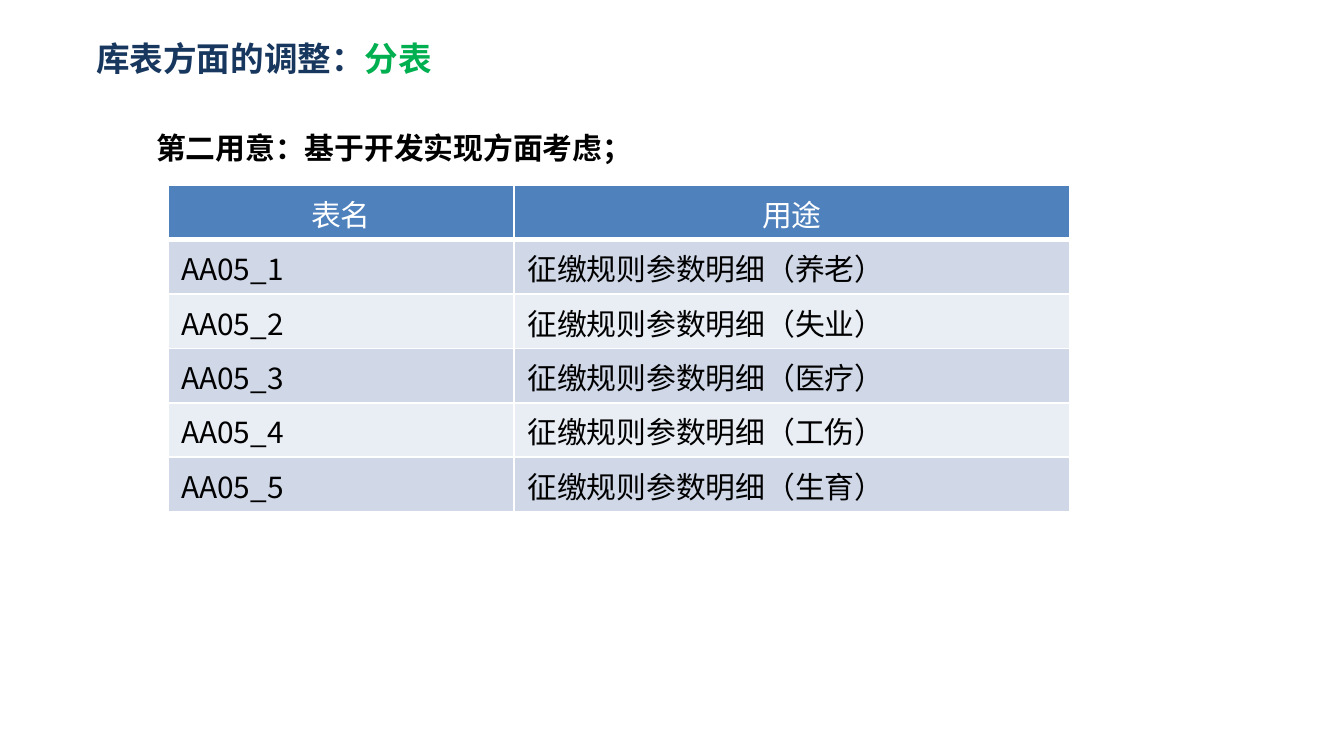
import pptx
import pptx.util
import pptx.dml.color
import pptx.enum.text
import pptx.oxml.ns
import lxml.etree

RGBColor = pptx.dml.color.RGBColor
NAVY = RGBColor(0x17, 0x37, 0x5E)
GREEN = RGBColor(0x00, 0xB0, 0x50)
BLACK = RGBColor(0x00, 0x00, 0x00)
WHITE = RGBColor(0xFF, 0xFF, 0xFF)
HEADER_BLUE = RGBColor(0x4F, 0x81, 0xBD)
BANDS = (RGBColor(0xD0, 0xD8, 0xE8), RGBColor(0xE9, 0xED, 0xF4))
FONT = "Noto Sans CJK SC"

TITLE = [("库表方面的调整：", NAVY), ("分表", GREEN)]
PURPOSE = [("第二用意：基于开发实现方面考虑；", BLACK)]
HEADER = ("表名", "用途")
INSURANCES = ("养老", "失业", "医疗", "工伤", "生育")
ROWS = [HEADER] + [
    (f"AA05_{number}", f"征缴规则参数明细（{insurance}）")
    for number, insurance in enumerate(INSURANCES, 1)
]

TITLE_BOX = (83, 31, 454, 54)
PURPOSE_BOX = (83, 105, 1137, 62)
TABLE_LEFT, TABLE_TOP, TABLE_HEIGHT = 168, 185, 327
COLUMN_WIDTHS = (346, 556)
CELL_BOTTOM = 4
FIRST_LINE_INDENT = 60
PX = 914400 / 134.4


def px(length):
    return pptx.util.Emu(round(length * PX))


def add_run(paragraph, text, size, color, bold):
    run = paragraph.add_run()
    run.text = text
    run.font.size = pptx.util.Pt(size)
    run.font.bold = bold
    run.font.color.rgb = color
    run.font.name = FONT
    east_asian = lxml.etree.SubElement(run.font._element, pptx.oxml.ns.qn("a:ea"))
    east_asian.set("typeface", FONT)


def add_heading(slide, box, runs, size):
    heading = slide.shapes.add_textbox(*map(px, box))
    frame = heading.text_frame
    frame.word_wrap = True
    frame.auto_size = pptx.enum.text.MSO_AUTO_SIZE.SHAPE_TO_FIT_TEXT
    paragraph = frame.paragraphs[0]
    for text, color in runs:
        add_run(paragraph, text, size, color, True)
    return paragraph


def set_borders(cell, top, bottom):
    properties = cell._tc.get_or_add_tcPr()
    for side, points in (("L", 1), ("R", 1), ("T", top), ("B", bottom)):
        line = lxml.etree.SubElement(properties, pptx.oxml.ns.qn(f"a:ln{side}"))
        line.set("w", str(pptx.util.Pt(points)))
        fill = lxml.etree.SubElement(line, pptx.oxml.ns.qn("a:solidFill"))
        color = lxml.etree.SubElement(fill, pptx.oxml.ns.qn("a:srgbClr"))
        color.set("val", str(WHITE))


def add_usage_table(slide):
    table = slide.shapes.add_table(
        len(ROWS), len(HEADER), px(TABLE_LEFT), px(TABLE_TOP),
        px(sum(COLUMN_WIDTHS)), px(TABLE_HEIGHT),
    ).table
    for column, width in zip(table.columns, COLUMN_WIDTHS):
        column.width = px(width)
    for row, texts in enumerate(ROWS):
        table.rows[row].height = px(TABLE_HEIGHT / len(ROWS))
        is_header = row == 0
        for column, text in enumerate(texts):
            cell = table.cell(row, column)
            cell.margin_bottom = px(CELL_BOTTOM)
            set_borders(cell, 3 if row == 1 else 1, 3 if is_header else 1)
            cell.fill.solid()
            cell.fill.fore_color.rgb = HEADER_BLUE if is_header else BANDS[(row - 1) % 2]
            paragraph = cell.text_frame.paragraphs[0]
            if is_header:
                paragraph.alignment = pptx.enum.text.PP_ALIGN.CENTER
            add_run(paragraph, text, 16, WHITE if is_header else BLACK, False)


def main():
    deck = pptx.Presentation()
    deck.slide_width = px(1344)
    deck.slide_height = px(756)
    slide = deck.slides.add_slide(deck.slide_layouts[6])
    purpose = add_heading(slide, PURPOSE_BOX, PURPOSE, 16)
    purpose.line_spacing = 1.5
    purpose._p.get_or_add_pPr().set("indent", str(px(FIRST_LINE_INDENT)))
    add_heading(slide, TITLE_BOX, TITLE, 18)
    add_usage_table(slide)
    deck.save("out.pptx")


if __name__ == "__main__":
    main()
